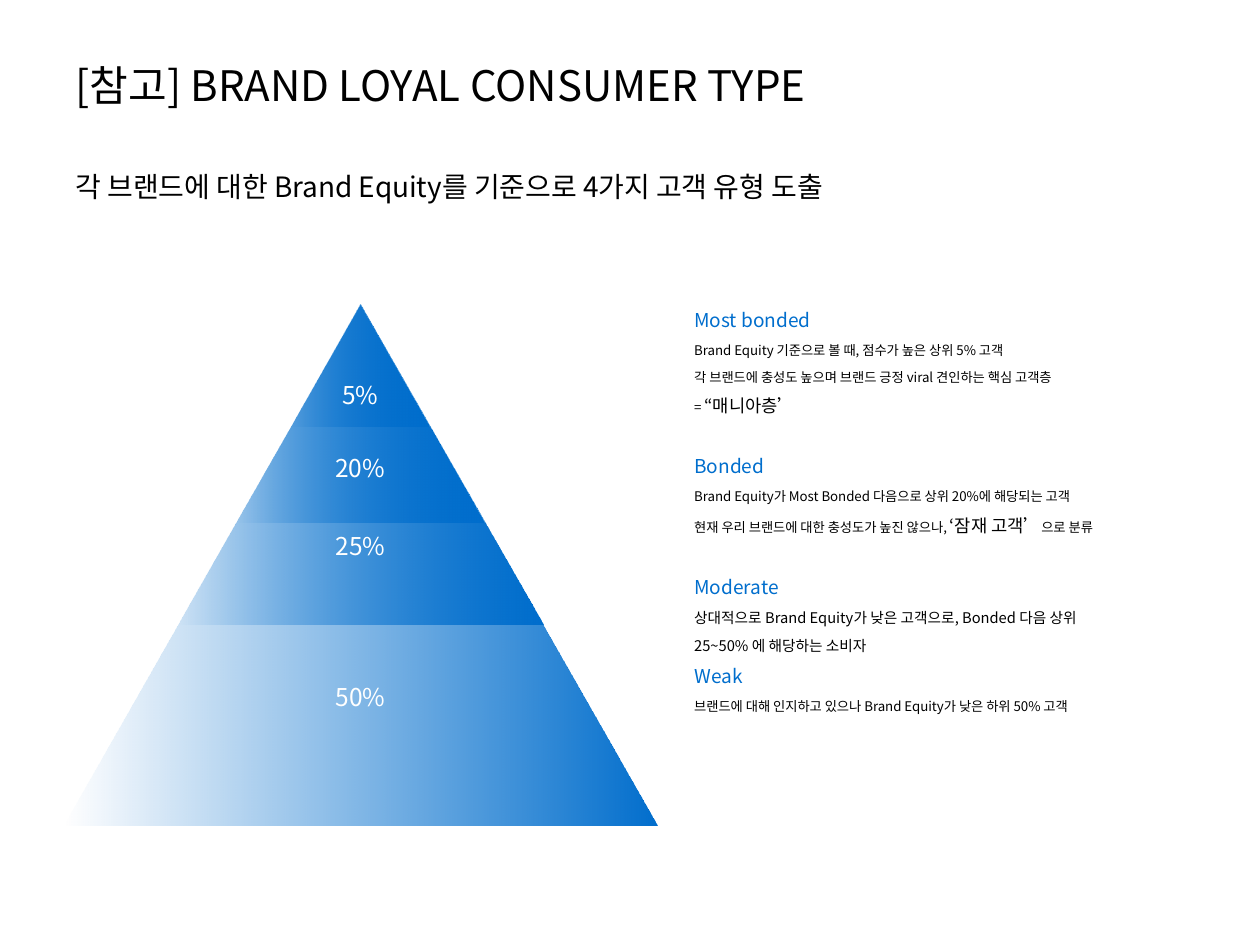
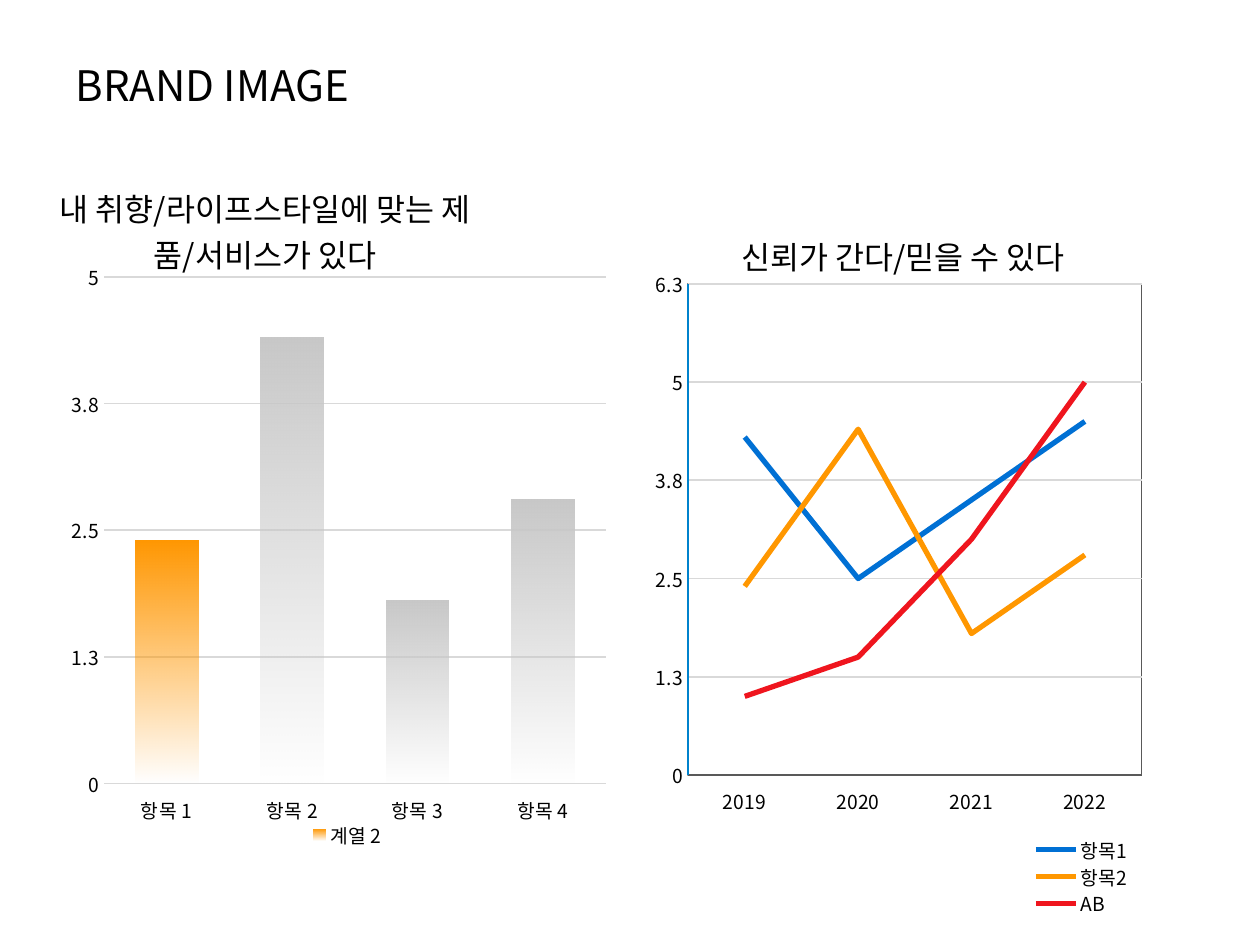
from dataclasses import dataclass

import pptx
import pptx.chart.data
import pptx.dml.color
import pptx.enum.chart
import pptx.enum.shapes
import pptx.enum.text
import pptx.oxml
import pptx.oxml.ns
import pptx.util
from lxml import etree

Inches = pptx.util.Inches
Pt = pptx.util.Pt
RGB = pptx.dml.color.RGBColor.from_string
qn = pptx.oxml.ns.qn
XL = pptx.enum.chart
ALIGN = pptx.enum.text.PP_ALIGN
ANCHOR = pptx.enum.text.MSO_ANCHOR
AUTO = pptx.enum.text.MSO_AUTO_SIZE


@dataclass(frozen=True)
class Theme:
    font: str = "Noto Sans CJK KR"
    ink: str = "000000"
    white: str = "FFFFFF"
    blue: str = "006ECD"
    line_blue: str = "0070D4"
    axis_blue: str = "0082CC"
    orange: str = "FF9700"
    red: str = "EF151E"
    gray: str = "C8C8C8"
    grid: str = "D9D9D9"
    frame: str = "595959"
    title: float = 24
    subtitle: float = 16
    chart_title: float = 18
    label: float = 14
    axis: float = 11
    chart: float = 10
    heading: float = 10.9
    accent: float = 10.1
    body: float = 8.4
    small: float = 7.6


T = Theme()


def style_font(font, size, color=T.ink):
    font.name = T.font
    font.size = Pt(size)
    font.bold = False
    font.color.rgb = RGB(color)


def write(p, text, size=T.small, color=T.ink, align=ALIGN.LEFT, spacing=None, before=0):
    p.alignment = align
    p.space_before = Pt(before)
    if spacing:
        p.line_spacing = spacing
    r = p.add_run()
    r.text = text
    style_font(r.font, size, color)


def fade(fill, color, angle):
    fill.gradient()
    fill.gradient_angle = angle
    for stop in fill.gradient_stops:
        stop.color.rgb = RGB(color)


def polish(element):
    for latin in element.iter(qn("a:latin")):
        ea = etree.Element(qn("a:ea"))
        ea.set("typeface", T.font)
        latin.addnext(ea)
    for grad in element.iter(qn("a:gradFill")):
        color = grad.find(".//" + qn("a:srgbClr"))
        etree.SubElement(color, qn("a:alpha")).set("val", "0")


def place(element, index, inner=False, **box):
    layout = element.find(qn("c:layout"))
    if layout is not None:
        element.remove(layout)
    layout = etree.Element(qn("c:layout"))
    element.insert(index, layout)
    manual = etree.SubElement(layout, qn("c:manualLayout"))
    settings = {"layoutTarget": "inner"} if inner else {}
    settings.update(xMode="edge", yMode="edge", **box)
    for tag, value in settings.items():
        etree.SubElement(manual, qn("c:" + tag)).set("val", str(value))


class Deck:
    def __init__(self):
        self.prs = pptx.Presentation()
        self.prs.slide_width, self.prs.slide_height = Inches(10), Inches(7.5)
        self.s = None

    def frame(self, tf, anchor=ANCHOR.TOP, auto_size=AUTO.NONE):
        tf.word_wrap = True
        tf.auto_size = auto_size
        tf.vertical_anchor = anchor
        tf.margin_left = tf.margin_right = tf.margin_top = tf.margin_bottom = Inches(0.05)
        return tf

    def slide(self, title):
        self.s = self.prs.slides.add_slide(self.prs.slide_layouts[5])
        sp = self.s.shapes.title
        sp.left, sp.top, sp.width, sp.height = map(Inches, (0.55, 0.47, 8.9, 1.09))
        write(self.frame(sp.text_frame).paragraphs[0], title, size=T.title, spacing=0.9)

    def text_box(self, x, y, w, h, shapes=None, **options):
        shapes = shapes or self.s.shapes
        sp = shapes.add_textbox(*map(Inches, (x, y, w, h)))
        return self.frame(sp.text_frame, **options)

    def pyramid_layer(self, label, center, top, width, label_top):
        shapes = self.s.shapes.add_group_shape().shapes
        sp = shapes.add_shape(
            pptx.enum.shapes.MSO_SHAPE.ISOSCELES_TRIANGLE,
            *map(Inches, (center - width / 2, top, width, width * 0.875)),
        )
        sp.shadow.inherit = False
        sp.line.fill.background()
        fade(sp.fill, T.blue, 0)
        label_width = width * 0.45
        tf = self.text_box(center - label_width / 2, label_top, label_width, 0.34, shapes,
                           anchor=ANCHOR.MIDDLE, auto_size=AUTO.SHAPE_TO_FIT_TEXT)
        write(tf.paragraphs[0], label, size=T.label, color=T.white, align=ALIGN.CENTER)

    def chart(self, kind, box, title, cats, series, top, plot, title_at, legend_at):
        data = pptx.chart.data.CategoryChartData()
        data.categories = cats
        for name, values in series:
            data.add_series(name, values)
        chart = self.s.shapes.add_chart(kind, *map(Inches, box), data).chart
        style_font(chart.font, T.chart)
        chart.has_title = True
        write(chart.chart_title.text_frame.paragraphs[0], title,
              size=T.chart_title, align=ALIGN.CENTER)
        chart.has_legend = True
        chart.legend.position = XL.XL_LEGEND_POSITION.BOTTOM
        chart.legend.include_in_layout = True
        style_font(chart.legend.font, T.axis)
        for axis in (chart.category_axis, chart.value_axis):
            axis.major_tick_mark = axis.minor_tick_mark = XL.XL_TICK_MARK.NONE
            style_font(axis.tick_labels.font, T.axis)
        chart.category_axis.tick_label_position = XL.XL_TICK_LABEL_POSITION.LOW
        values = chart.value_axis
        values.minimum_scale, values.maximum_scale, values.major_unit = 0, top, 1.25
        values.tick_labels.number_format = "0.#"
        values.tick_labels.number_format_is_linked = False
        values.has_major_gridlines = True
        self.line(values.major_gridlines.format.line, T.grid, 1)
        values.format.line.fill.background()
        place(chart.element.find(".//" + qn("c:plotArea")), 0, inner=True, **plot)
        place(chart.element.find(".//" + qn("c:title")), 1, **title_at)
        place(chart.element.find(".//" + qn("c:legend")), 1, **legend_at)
        chart.plots[0].vary_by_categories = False
        return chart

    def line(self, line, color, width):
        line.color.rgb = RGB(color)
        line.width = Pt(width)

    def plot_frame(self, chart, color):
        area = chart.element.find(".//" + qn("c:plotArea"))
        old = area.find(qn("c:spPr"))
        if old is not None:
            area.remove(old)
        sp_pr = etree.SubElement(area, qn("c:spPr"))
        etree.SubElement(sp_pr, qn("a:noFill"))
        ln = etree.SubElement(sp_pr, qn("a:ln"), w=str(Pt(0.75)))
        fill = etree.SubElement(ln, qn("a:solidFill"))
        etree.SubElement(fill, qn("a:srgbClr"), val=color)

    def save(self):
        for s in self.prs.slides:
            polish(s.element)
            for sp in s.shapes:
                if sp.has_chart:
                    polish(sp.chart.element)
        self.prs.save("out.pptx")


def consumer_types(deck):
    deck.slide("[참고] BRAND LOYAL CONSUMER TYPE")
    tf = deck.text_box(0.55, 1.33, 8.9, 1.09)
    write(tf.paragraphs[0], "각 브랜드에 대한 Brand Equity를 기준으로 4가지 고객 유형 도출",
          size=T.subtitle, spacing=0.9)

    layers = [("50%", 4.72, 5.36), ("25%", 2.9, 4.16), ("20%", 1.97, 3.54), ("5%", 1.1, 2.96)]
    for label, width, label_top in layers:
        deck.pyramid_layer(label, 2.86, 2.42, width, label_top)

    types = [
        ("Most bonded", 0, T.small, [
            ["Brand Equity 기준으로 볼 때, 점수가 높은 상위 5% 고객"],
            ["각 브랜드에 충성도 높으며 브랜드 긍정 viral 견인하는 핵심 고객층"],
            ["= ", "“매니아층’"]]),
        ("Bonded", 24.5, T.small, [
            ["Brand Equity가 Most Bonded 다음으로 상위 20%에 해당되는 고객"],
            ["현재 우리 브랜드에 대한 충성도가 높진 않으나, ", "‘잠재 고객’", "으로 분류"]]),
        ("Moderate", 25, T.body, [
            ["상대적으로 Brand Equity가 낮은 고객으로, Bonded 다음 상위"],
            ["25~50% 에 해당하는 소비자"]]),
        ("Weak", 8, T.small, [
            ["브랜드에 대해 인지하고 있으나 Brand Equity가 낮은 하위 50% 고객"]]),
    ]
    tf = deck.text_box(5.46, 2.43, 3.99, 4.21)
    p = tf.paragraphs[0]
    for heading, before, size, lines in types:
        if before:
            p = tf.add_paragraph()
        write(p, heading, size=T.heading, color=T.blue, spacing=0.81, before=before)
        for parts in lines:
            p = tf.add_paragraph()
            for i, part in enumerate(parts):
                write(p, part, size=T.accent if i == 1 else size, spacing=0.81, before=8)


def brand_image(deck):
    deck.slide("BRAND IMAGE")
    bars = deck.chart(
        XL.XL_CHART_TYPE.COLUMN_CLUSTERED, (0.43, 1.39, 4.4, 5.42),
        "내 취향/라이프스타일에 맞는 제품/서비스가 있다",
        [f"항목 {i}" for i in range(1, 5)], [("계열 2", (2.4, 4.4, 1.8, 2.8))], 5,
        plot=dict(x=0.09, y=0.149, w=0.905, h=0.742),
        title_at=dict(x=0, y=0),
        legend_at=dict(x=0.43, y=0.944, w=0.2, h=0.045))
    deck.line(bars.category_axis.format.line, T.grid, 1)
    bars.plots[0].gap_width = 100
    series = bars.plots[0].series[0]
    fade(series.format.fill, T.orange, 90)
    for i, color in enumerate((T.orange, T.gray, T.gray, T.gray)):
        fade(series.points[i].format.fill, color, 90)

    trend = deck.chart(
        XL.XL_CHART_TYPE.LINE, (5.06, 1.77, 4.1, 5.51), "신뢰가 간다/믿을 수 있다",
        [str(year) for year in range(2019, 2023)],
        [("항목1", (4.3, 2.5, 3.5, 4.5)), ("항목2", (2.4, 4.4, 1.8, 2.8)), ("AB", (1, 1.5, 3, 5))],
        6.25,
        plot=dict(x=0.098, y=0.088, w=0.878, h=0.709),
        title_at=dict(x=0.19, y=0),
        legend_at=dict(x=0.74, y=0.885, w=0.24, h=0.115))
    deck.line(trend.category_axis.format.line, T.frame, 0.75)
    deck.line(trend.value_axis.format.line, T.axis_blue, 0.75)
    deck.plot_frame(trend, T.frame)
    for series, color in zip(trend.plots[0].series, (T.line_blue, T.orange, T.red)):
        series.smooth = False
        series.marker.style = XL.XL_MARKER_STYLE.NONE
        deck.line(series.format.line, color, 3)


def main():
    deck = Deck()
    consumer_types(deck)
    brand_image(deck)
    deck.save()


if __name__ == "__main__":
    main()
